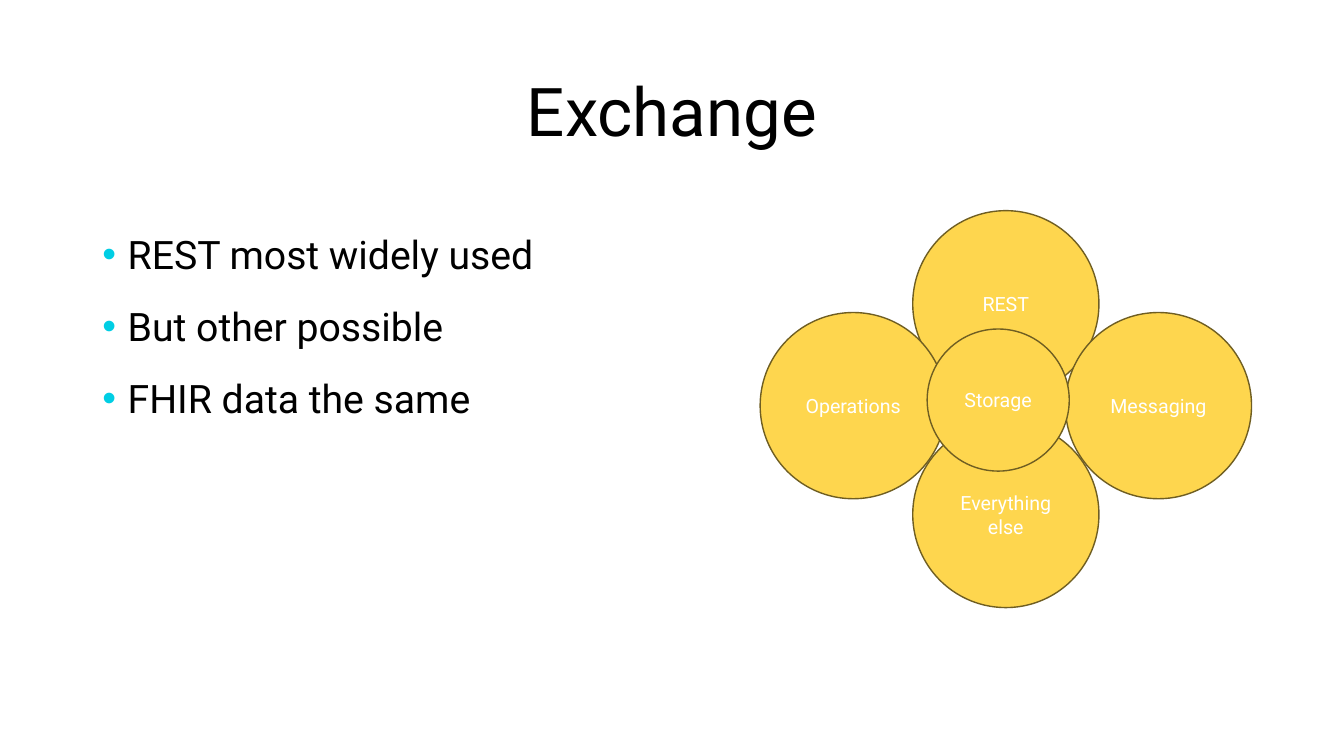
from lxml.etree import SubElement
from pptx import Presentation
from pptx.dml.color import RGBColor
from pptx.enum.shapes import MSO_SHAPE
from pptx.enum.text import MSO_ANCHOR, PP_ALIGN
from pptx.oxml.ns import qn
from pptx.util import Pt

BLACK = RGBColor(0x00, 0x00, 0x00)
WHITE = RGBColor(0xFF, 0xFF, 0xFF)
CYAN = RGBColor(0x00, 0xCE, 0xE4)
YELLOW = RGBColor(0xFE, 0xD6, 0x4E)
BROWN = RGBColor(0x6F, 0x5E, 0x22)

TITLE = {"name": "Roboto", "size": Pt(48), "color": BLACK}
BODY = {"name": "Roboto", "size": Pt(28), "color": BLACK}
LABEL = {"name": "Roboto", "size": Pt(14), "color": WHITE}


def set_font(font, fmt):
    for key, value in fmt.items():
        if key == "color":
            font.color.rgb = value
        else:
            setattr(font, key, value)


def place(sp, box):
    for key, value in zip(("left", "top", "width", "height"), box):
        setattr(sp, key, Pt(value))


def add_bullet(p, indent):
    pPr = p._p.get_or_add_pPr()
    pPr.set("marL", str(Pt(indent)))
    pPr.set("indent", str(-Pt(indent)))
    clr = SubElement(pPr, qn("a:buClr"))
    SubElement(clr, qn("a:srgbClr"), val=str(CYAN))
    SubElement(pPr, qn("a:buFont"), typeface="Arial")
    SubElement(pPr, qn("a:buChar"), char="•")


def fill_title(sp, box, text):
    place(sp, box)
    tf = sp.text_frame
    tf.vertical_anchor = MSO_ANCHOR.MIDDLE
    tf.text = text
    p = tf.paragraphs[0]
    p.alignment = PP_ALIGN.CENTER
    p.line_spacing = 0.9
    set_font(p.runs[0].font, TITLE)


def fill_bullets(sp, box, items):
    place(sp, box)
    tf = sp.text_frame
    tf.text = "\n".join(items)
    for i, p in enumerate(tf.paragraphs):
        p.line_spacing = 1.5
        p.space_before = Pt(1 if i else 0)
        add_bullet(p, 18)
        set_font(p.runs[0].font, BODY)


def add_circle(s, cx, cy, size, text):
    sp = s.shapes.add_shape(MSO_SHAPE.OVAL, Pt(cx - size / 2), Pt(cy - size / 2), Pt(size), Pt(size))
    sp.shadow.inherit = False
    sp.fill.solid()
    sp.fill.fore_color.rgb = YELLOW
    sp.line.color.rgb = BROWN
    sp.line.width = Pt(1)
    tf = sp.text_frame
    tf.word_wrap = True
    tf.vertical_anchor = MSO_ANCHOR.MIDDLE
    tf.text = text
    p = tf.paragraphs[0]
    p.alignment = PP_ALIGN.CENTER
    set_font(p.runs[0].font, LABEL)


def draw_flower(s, box):
    left, top, width, height = box
    petal, core = 133, 101.5
    cx, cy = left + width / 2, top + height / 2
    dx, dy = (width - petal) / 2, (height - petal) / 2
    side_y = cy - 2.5
    for x, y, size, text in (
        (cx, cy - dy, petal, "REST"),
        (cx, cy + dy, petal, "Everything else"),
        (cx + dx, side_y, petal, "Messaging"),
        (cx - dx, side_y, petal, "Operations"),
        (cx - 5.5, cy - 6.5, core, "Storage"),
    ):
        add_circle(s, x, y, size, text)


def main():
    prs = Presentation()
    prs.slide_width, prs.slide_height = Pt(960), Pt(540)
    s = prs.slides.add_slide(prs.slide_layouts[1])
    fill_title(s.shapes.title, (30, 30, 900, 104.5), "Exchange")
    fill_bullets(s.placeholders[1], (66, 144, 456, 310),
                 ("REST most widely used", "But other possible", "FHIR data the same"))
    draw_flower(s, (543, 150.5, 351, 283.5))
    prs.save("out.pptx")


if __name__ == "__main__":
    main()
